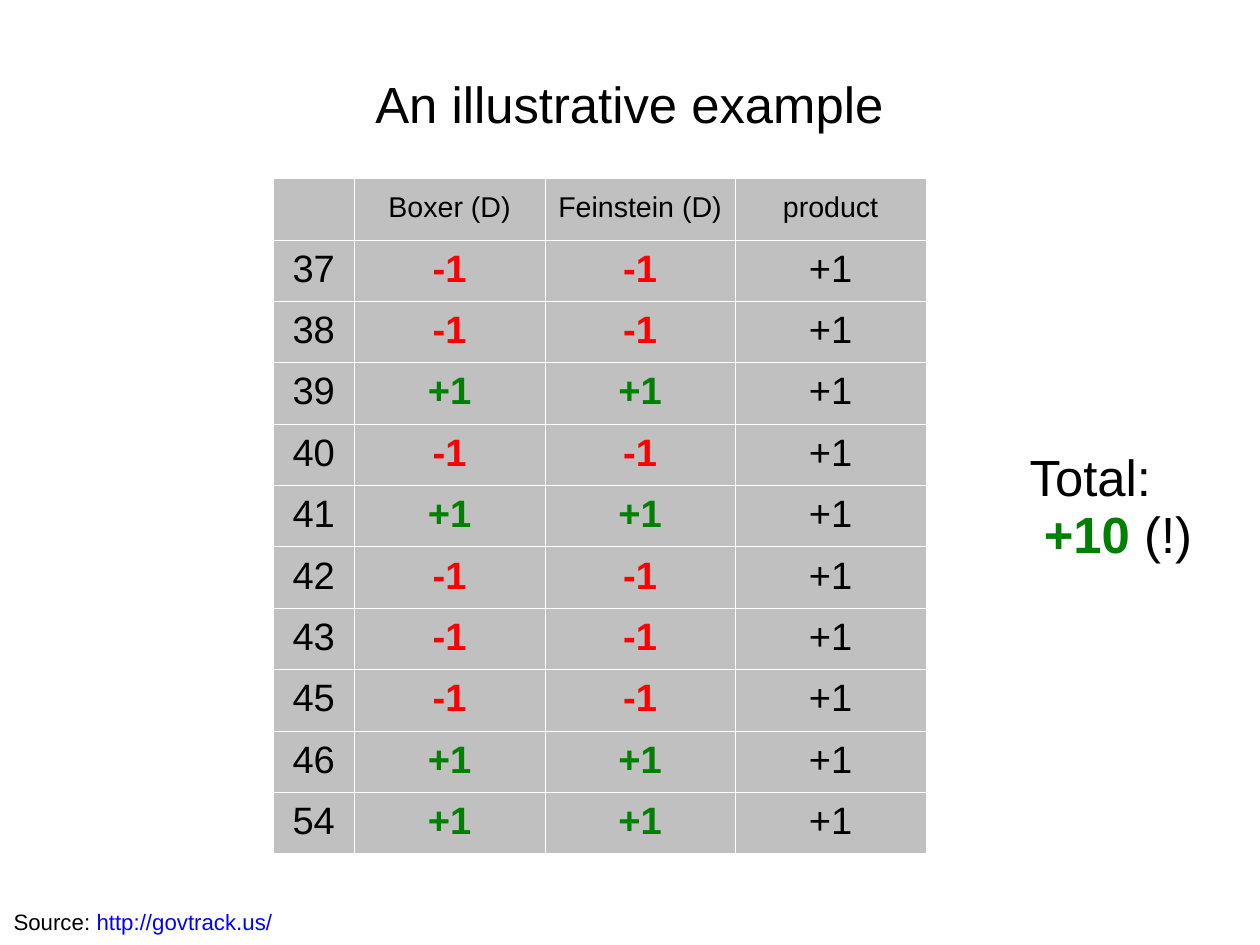
from dataclasses import dataclass

from lxml.etree import SubElement
from pptx import Presentation
from pptx.dml.color import RGBColor
from pptx.enum.text import MSO_ANCHOR, PP_ALIGN
from pptx.oxml.ns import qn
from pptx.slide import Slide
from pptx.table import _Cell
from pptx.text.text import TextFrame, _Paragraph
from pptx.util import Inches, Pt


@dataclass(frozen=True)
class Theme:
    font: str = "Arial"
    ink: str = "000000"
    negative: str = "FF0000"
    positive: str = "008000"
    link: str = "0000FF"
    cell: str = "C0C0C0"
    border: str = "FFFFFF"
    border_width: float = 0.06
    display: int = 32
    value: int = 24
    header: int = 18
    source: int = 14
    line_spacing: float = 0.93


@dataclass(frozen=True)
class RollCall:
    number: int
    boxer: int
    feinstein: int

    @property
    def product(self) -> int:
        return self.boxer * self.feinstein


THEME = Theme()
CENTIMETRES_PER_INCH = 2.54
PAGE_WIDTH = 28 / CENTIMETRES_PER_INCH
PAGE_HEIGHT = 21 / CENTIMETRES_PER_INCH
TABLE_WIDTH = 5.71
NUMBER_WIDTH = 0.71
HEADERS = ("", "Boxer (D)", "Feinstein (D)", "product")
ROLL_CALLS = (
    RollCall(37, -1, -1),
    RollCall(38, -1, -1),
    RollCall(39, 1, 1),
    RollCall(40, -1, -1),
    RollCall(41, 1, 1),
    RollCall(42, -1, -1),
    RollCall(43, -1, -1),
    RollCall(45, -1, -1),
    RollCall(46, 1, 1),
    RollCall(54, 1, 1),
)


def write(para: _Paragraph, text: str, *, size: int, color: str = THEME.ink,
          bold: bool = False, align: PP_ALIGN = PP_ALIGN.LEFT) -> None:
    para.alignment = align
    para.line_spacing = THEME.line_spacing
    para.space_before = Pt(0)
    span = para.add_run()
    span.text = text
    span.font.name = THEME.font
    span.font.size = Pt(size)
    span.font.bold = bold
    span.font.color.rgb = RGBColor.from_string(color)


def set_margins(frame: TextFrame, left: float, top: float, right: float, bottom: float) -> None:
    frame.margin_left, frame.margin_top = Inches(left), Inches(top)
    frame.margin_right, frame.margin_bottom = Inches(right), Inches(bottom)


def add_text_box(page: Slide, left: float, top: float, width: float, height: float,
                 top_margin: float) -> TextFrame:
    box = page.shapes.add_textbox(Inches(left), Inches(top), Inches(width), Inches(height))
    frame = box.text_frame
    frame.word_wrap = True
    set_margins(frame, 0.1, top_margin, 0.1, 0.05)
    return frame


def style_cell(cell: _Cell) -> None:
    properties = cell._tc.get_or_add_tcPr()
    for side in ("a:lnL", "a:lnR", "a:lnT", "a:lnB"):
        line = SubElement(properties, qn(side), w=str(Pt(THEME.border_width)))
        paint = SubElement(line, qn("a:solidFill"))
        SubElement(paint, qn("a:srgbClr"), val=THEME.border)
    cell.fill.solid()
    cell.fill.fore_color.rgb = RGBColor.from_string(THEME.cell)
    cell.vertical_anchor = MSO_ANCHOR.MIDDLE


def vote_color(vote: int) -> str:
    return THEME.positive if vote > 0 else THEME.negative


def add_title(page: Slide) -> None:
    title = page.shapes.title
    title.left, title.top = Inches(0.55), Inches(0.33)
    title.width, title.height = Inches(9.92), Inches(1.17)
    frame = title.text_frame
    frame.vertical_anchor = MSO_ANCHOR.MIDDLE
    set_margins(frame, 0, 0.03, 0, 0)
    write(frame.paragraphs[0], "An illustrative example", size=THEME.display,
          align=PP_ALIGN.CENTER)


def add_votes(page: Slide) -> None:
    frame = page.shapes.add_table(len(ROLL_CALLS) + 1, len(HEADERS), Inches(2.39),
                                  Inches(1.56), Inches(TABLE_WIDTH), Inches(5.91))
    table = frame.table
    table.first_row = table.horz_banding = False
    vote_width = (TABLE_WIDTH - NUMBER_WIDTH) / (len(HEADERS) - 1)
    for index, column in enumerate(table.columns):
        column.width = Inches(vote_width if index else NUMBER_WIDTH)
    for cell in table.iter_cells():
        style_cell(cell)
    for index, header in enumerate(HEADERS):
        if header:
            write(table.cell(0, index).text_frame.paragraphs[0], header,
                  size=THEME.header, align=PP_ALIGN.CENTER)
    for row, call in enumerate(ROLL_CALLS, start=1):
        entries = (
            (str(call.number), THEME.ink, False),
            (f"{call.boxer:+d}", vote_color(call.boxer), True),
            (f"{call.feinstein:+d}", vote_color(call.feinstein), True),
            (f"{call.product:+d}", THEME.ink, False),
        )
        for column, (text, color, bold) in enumerate(entries):
            write(table.cell(row, column).text_frame.paragraphs[0], text,
                  size=THEME.value, color=color, bold=bold, align=PP_ALIGN.CENTER)


def add_total(page: Slide) -> None:
    frame = add_text_box(page, 8.91, 3.87, 1.75, 1.1, top_margin=0.08)
    total = sum(call.product for call in ROLL_CALLS)
    write(frame.paragraphs[0], "Total:", size=THEME.display)
    para = frame.add_paragraph()
    write(para, " ", size=THEME.display)
    write(para, f"{total:+d} ", size=THEME.display, color=vote_color(total), bold=True)
    write(para, "(!)", size=THEME.display)


def add_source(page: Slide) -> None:
    para = add_text_box(page, 0.02, 7.91, 7.73, 0.32, top_margin=0.06).paragraphs[0]
    write(para, "Source: ", size=THEME.source)
    write(para, "http://govtrack.us/", size=THEME.source, color=THEME.link)


def main() -> None:
    deck = Presentation()
    deck.slide_width = Inches(PAGE_WIDTH)
    deck.slide_height = Inches(PAGE_HEIGHT)
    page = deck.slides.add_slide(deck.slide_layouts[5])
    add_title(page)
    add_votes(page)
    add_total(page)
    add_source(page)
    deck.save("out.pptx")


if __name__ == "__main__":
    main()
